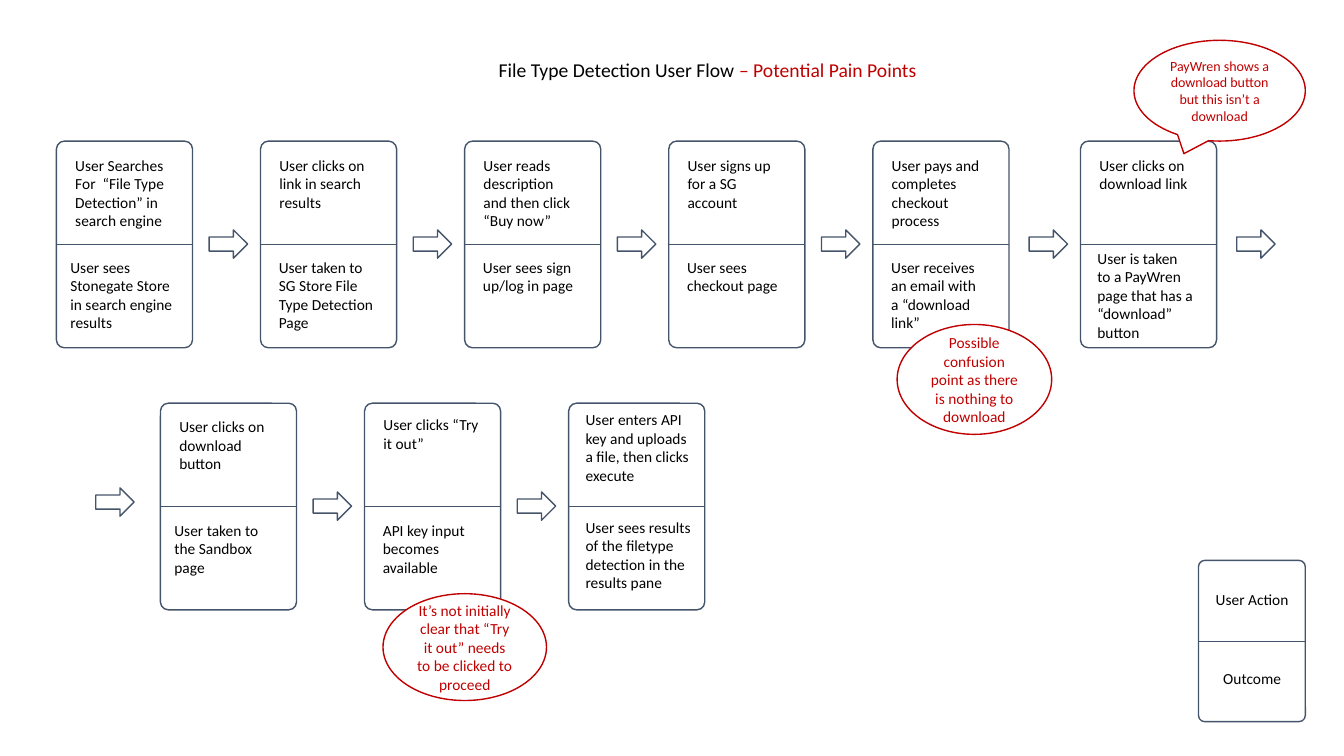
from dataclasses import dataclass

from lxml.etree import SubElement
from pptx import Presentation
from pptx.dml.color import RGBColor
from pptx.enum.shapes import MSO_CONNECTOR, MSO_SHAPE as Preset
from pptx.enum.text import MSO_ANCHOR as Anchor, MSO_AUTO_SIZE as AutoSize, PP_ALIGN as Align
from pptx.oxml.ns import qn
from pptx.util import Pt

COLORS = {"ink": "000000", "outline": "44546A", "pain": "C00000", "paper": "FFFFFF"}
FONT = "Calibri"
CARD_W, CARD_H, PITCH = 97.2, 147.6, 145.8
ARROW_W, ARROW_H = 27.4, 20.2
ARROW_DX, ARROW_DY = -36.7, 63.4
TOP_ROW, BOTTOM_ROW = 100.8, 288
LINE_H, INSETS = 13.2, 7.2


@dataclass
class Note:
    """Text placed relative to the corner of its card."""
    text: str
    lines: int
    dx: float
    dy: float
    width: float = 82.5


@dataclass
class Card:
    left: float
    top: float
    action: Note
    outcome: Note
    width: float = CARD_W
    height: float = CARD_H
    align: Align = Align.LEFT


@dataclass
class PainPoint:
    preset: Preset
    left: float
    top: float
    width: float
    height: float
    text: str
    size: float = 11


def rgb(name: str) -> RGBColor:
    return RGBColor.from_string(COLORS[name])


def apply(target, values: dict) -> None:
    for key, value in values.items():
        setattr(target, key, value)


def style_font(font, size: float, color: str) -> None:
    apply(font, {"name": FONT, "size": Pt(size), "bold": False})
    font.color.rgb = rgb(color)


def write(frame, text: str, size: float, color: str, align: Align, anchor: Anchor) -> None:
    apply(frame, {"word_wrap": True, "auto_size": AutoSize.NONE,
                  "vertical_anchor": anchor, "text": text})
    for paragraph in frame.paragraphs:
        paragraph.alignment = align
        for run in paragraph.runs:
            style_font(run.font, size, color)


def add_outline(preset: Preset, left: float, top: float, width: float, height: float,
                color: str = "outline"):
    shape = slide.shapes.add_shape(preset, Pt(left), Pt(top), Pt(width), Pt(height))
    shape.shadow.inherit = False
    shape.fill.solid()
    shape.fill.fore_color.rgb = rgb("paper")
    shape.line.color.rgb = rgb(color)
    shape.line.width = Pt(1)
    return shape


def add_arrow(left: float, top: float) -> None:
    add_outline(Preset.RIGHT_ARROW, left, top, ARROW_W, ARROW_H)


def add_card(card: Card) -> None:
    body = add_outline(Preset.ROUNDED_RECTANGLE, card.left, card.top, card.width, card.height)
    body.adjustments[0] = 0.058
    middle = Pt(card.top + card.height / 2)
    divider = slide.shapes.add_connector(
        MSO_CONNECTOR.STRAIGHT, Pt(card.left), middle, Pt(card.left + card.width), middle)
    divider.line.color.rgb = rgb("outline")
    divider.line.width = Pt(0.5)
    SubElement(divider._element.spPr, qn("a:effectLst"))
    for note in (card.action, card.outcome):
        box = slide.shapes.add_textbox(
            Pt(card.left + note.dx), Pt(card.top + note.dy),
            Pt(note.width), Pt(note.lines * LINE_H + INSETS))
        write(box.text_frame, note.text, 11, "ink", card.align, Anchor.TOP)


def add_pain_point(pain: PainPoint) -> None:
    bubble = add_outline(pain.preset, pain.left, pain.top, pain.width, pain.height, "pain")
    write(bubble.text_frame, pain.text, pain.size, "pain", Align.CENTER, Anchor.MIDDLE)


def column(start: float, index: int) -> float:
    return start + index * PITCH


FIRST_X, SECOND_X, DOWNLOAD_X = 40.3, 114.6, 771.8

top_steps = [
    Card(column(FIRST_X, 0), TOP_ROW,
         Note("User Searches For  “File Type Detection” in search engine", 4, 6.4, 7, 91),
         Note("User sees Stonegate Store in search engine results", 4, 2.9, 80, 91)),
    Card(column(FIRST_X, 1), TOP_ROW,
         Note("User clicks on link in search results", 3, 6.4, 7),
         Note("User taken to SG Store File Type Detection Page", 4, 6, 80)),
    Card(column(FIRST_X, 2), TOP_ROW,
         Note("User reads description and then click\n“Buy now”", 4, 6.4, 7),
         Note("User sees sign up/log in page", 2, 6, 80)),
    Card(column(FIRST_X, 3), TOP_ROW,
         Note("User signs up for a SG account", 3, 6.4, 7),
         Note("User sees checkout page", 2, 6, 80)),
    Card(column(FIRST_X, 4), TOP_ROW,
         Note("User pays and completes checkout process", 4, 6.4, 7),
         Note("User receives an email with a “download link”", 4, 6, 80)),
    Card(DOWNLOAD_X, TOP_ROW,
         Note("User clicks on download link", 2, 6.4, 7),
         Note("User is taken to a PayWren page that has a “download” button", 5, 5, 73.4)),
]
bottom_steps = [
    Card(column(SECOND_X, 0), BOTTOM_ROW,
         Note("User clicks on download button", 3, 6.4, 6.5, 91),
         Note("User taken to the Sandbox page", 3, 2.9, 80.6, 91)),
    Card(column(SECOND_X, 1), BOTTOM_ROW,
         Note("User clicks “Try it out”", 2, 6.4, 5),
         Note("API key input becomes available", 3, 6, 80.6)),
    Card(column(SECOND_X, 2), BOTTOM_ROW,
         Note("User enters API key and uploads a file, then clicks execute", 4, 5, 1.5, 92.2),
         Note("User sees results of the filetype detection in the results pane", 4, 5, 78.5, 93.6)),
]
legend = Card(856.1, 400.3, Note("User Action", 1, -2.9, 18), Note("Outcome", 1, -2.9, 74.2),
              width=76.3, height=115.2, align=Align.CENTER)
pain_points = [
    PainPoint(Preset.OVAL_CALLOUT, 810, 28.8, 122.4, 72,
              "PayWren shows a download button but this isn’t a download", 10),
    PainPoint(Preset.OVAL, 273.6, 424.1, 116.8, 76.3,
              "It’s not initially clear that “Try it out” needs to be clicked to proceed"),
    PainPoint(Preset.OVAL, 640.8, 231.8, 110.4, 78.5,
              "Possible confusion point as there is nothing to download"),
]

deck = Presentation()
apply(deck, {"slide_width": Pt(960), "slide_height": Pt(540)})
slide = deck.slides.add_slide(deck.slide_layouts[5])

# Title
heading = slide.shapes.title
apply(heading, {"left": Pt(343.4), "top": Pt(37.4), "width": Pt(324), "height": Pt(24.5)})
write(heading.text_frame, "File Type Detection User Flow ", 14, "ink",
      Align.CENTER, Anchor.MIDDLE)
subject = heading.text_frame.paragraphs[0].add_run()
subject.text = "– Potential Pain Points"
style_font(subject.font, 14, "pain")

# Flow cards, with an arrow ahead of each step after the first
for row in (top_steps, bottom_steps):
    for position, step in enumerate(row):
        add_card(step)
        if position:
            add_arrow(step.left + ARROW_DX, step.top + ARROW_DY)

# Arrows that carry the flow from the first row to the second
add_arrow(883.4, TOP_ROW + ARROW_DY)
add_arrow(68.4, 348.5)

# Legend and pain points
add_card(legend)
for pain_point in pain_points:
    add_pain_point(pain_point)

deck.save("out.pptx")
